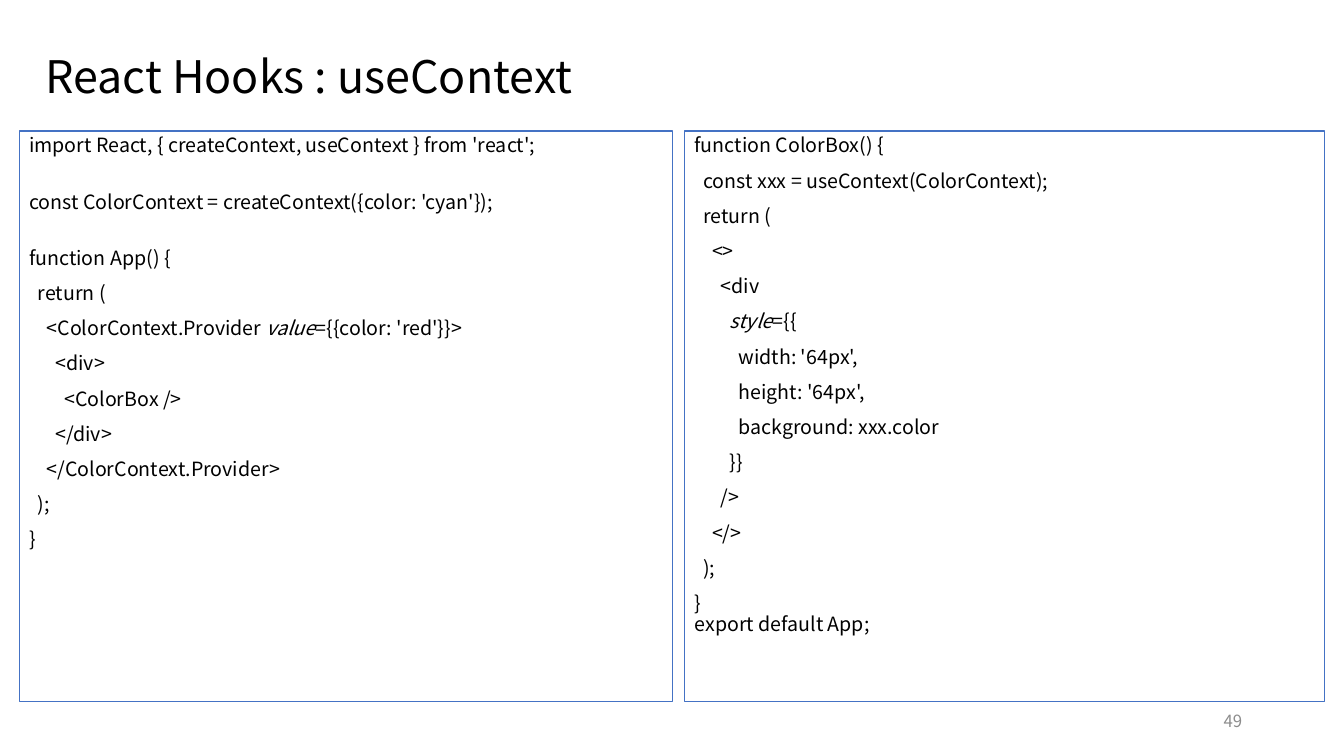
from pptx import Presentation
from pptx.dml.color import RGBColor
from pptx.enum.shapes import MSO_SHAPE
from pptx.enum.text import MSO_ANCHOR, PP_ALIGN
from pptx.util import Inches, Pt

RECT = MSO_SHAPE.RECTANGLE
TOP, MIDDLE = MSO_ANCHOR.TOP, MSO_ANCHOR.MIDDLE
LEFT, RIGHT = PP_ALIGN.LEFT, PP_ALIGN.RIGHT
BLACK = RGBColor(0x00, 0x00, 0x00)
GRAY = RGBColor(0x8C, 0x8C, 0x8C)
BLUE = RGBColor(0x44, 0x72, 0xC4)
FONT = "Noto Sans CJK KR"

# Code: an empty line widens the gap, asterisks mark italics
APP = """import React, { createContext, useContext } from 'react';

const ColorContext = createContext({color: 'cyan'});

function App() {
  return (
    <ColorContext.Provider *value*={{color: 'red'}}>
      <div>
        <ColorBox />
      </div>
    </ColorContext.Provider>
  );
}"""
BOX = """function ColorBox() {
  const xxx = useContext(ColorContext);
  return (
    <>
      <div
        *style*={{
          width: '64px',
          height: '64px',
          background: xxx.color
        }}
      />
    </>
  );
}
export default App;"""


class Page:
    def __init__(self, deck):
        self.slide = deck.slides.add_slide(deck.slide_layouts[5])

    def style(self, item, **values):
        for name, value in values.items():
            setattr(item, name, value)

    def place(self, shape, x, y, w, h):
        self.style(shape, left=Inches(x), top=Inches(y),
                   width=Inches(w), height=Inches(h))

    def line(self, para, text, size, color, align=LEFT, space=0.9, gap=0):
        self.style(para, alignment=align, line_spacing=space,
                   space_before=Pt(gap))
        for i, part in enumerate(text.split("*")):
            if part:
                run = para.add_run()
                run.text = part
                self.style(run.font, name=FONT, size=Pt(size),
                           italic=i % 2 == 1)
                run.font.color.rgb = color

    def title(self, text, *area):
        shape = self.slide.shapes.title
        self.place(shape, *area)
        self.style(shape.text_frame, vertical_anchor=MIDDLE, word_wrap=True)
        self.line(shape.text_frame.paragraphs[0], text, 32, BLACK)

    def number(self, text, *area):
        shape = self.slide.shapes.add_textbox(*map(Inches, area))
        self.style(shape.text_frame, vertical_anchor=MIDDLE, word_wrap=True)
        self.line(shape.text_frame.paragraphs[0], text, 12, GRAY, RIGHT, 1.0)

    def code(self, text, *area):
        shape = self.slide.shapes.add_shape(RECT, *map(Inches, area))
        shape.shadow.inherit = False
        shape.fill.background()
        shape.line.color.rgb = BLUE
        shape.line.width = Pt(0.75)
        frame = shape.text_frame
        self.style(frame, vertical_anchor=TOP, word_wrap=True)
        para, gap = frame.paragraphs[0], 0
        for row in text.split("\n"):
            if not row:
                gap = 25
                continue
            if row.startswith("export"):
                gap = 0
            para = para or frame.add_paragraph()
            self.line(para, row, 14, BLACK, gap=gap)
            para, gap = None, 10


def main():
    deck = Presentation()
    deck.slide_width, deck.slide_height = Inches(13.33), Inches(7.5)
    page = Page(deck)

    # Title and page number
    page.title("React Hooks : useContext", 0.35, 0.4, 12.66, 0.77)
    page.number("49", 9.42, 6.95, 3, 0.4)

    # Code panels
    for text, x, w in ((APP, 0.19, 6.48), (BOX, 6.79, 6.35)):
        page.code(text, x, 1.3, w, 5.66)

    deck.save("out.pptx")


if __name__ == "__main__":
    main()
